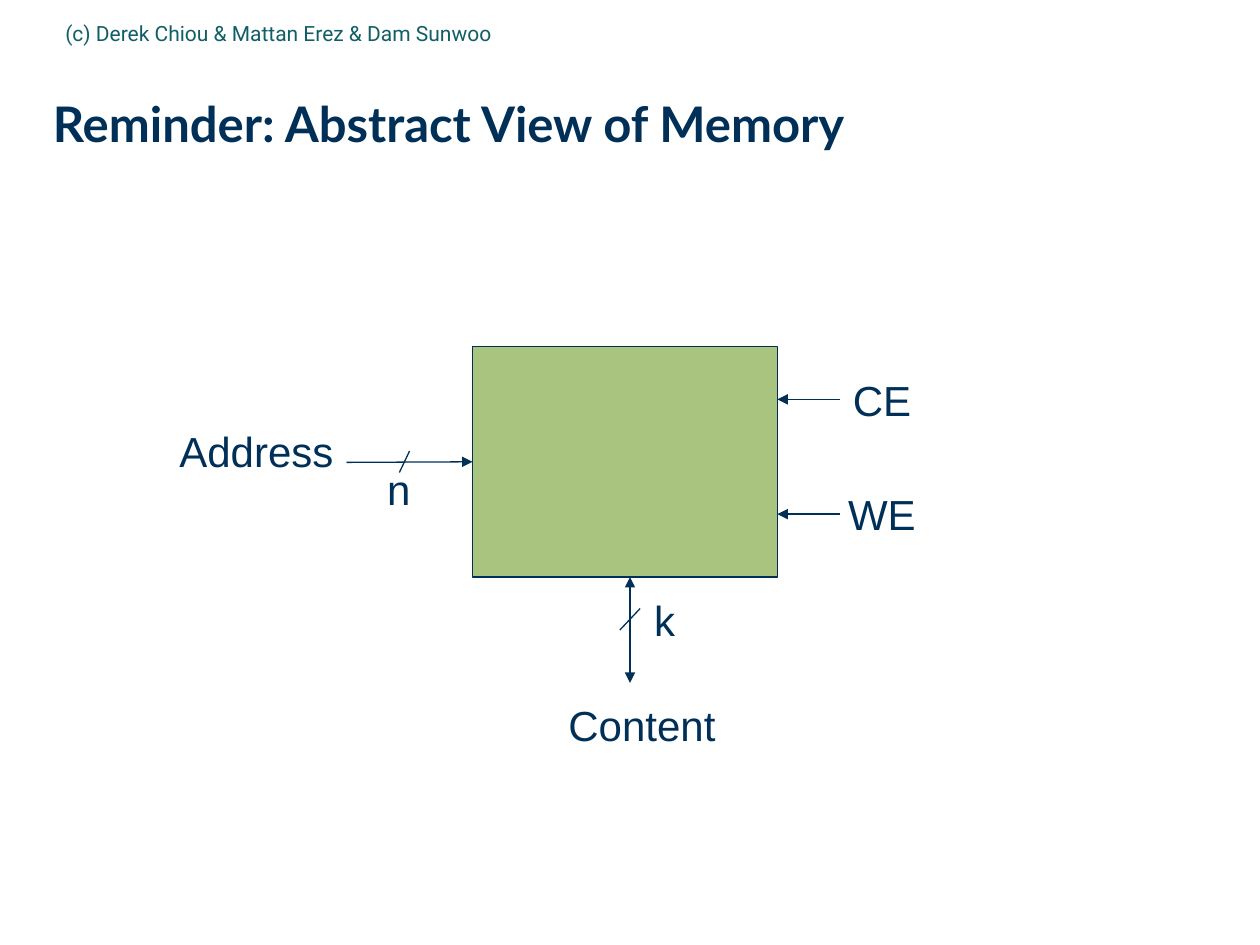
from pptx import Presentation
from pptx.dml.color import RGBColor
from pptx.enum.shapes import MSO_CONNECTOR, MSO_SHAPE
from pptx.enum.text import MSO_ANCHOR, MSO_AUTO_SIZE, PP_ALIGN
from pptx.oxml.ns import qn
from pptx.util import Inches, Pt
from lxml import etree

STRAIGHT = MSO_CONNECTOR.STRAIGHT
RECTANGLE = MSO_SHAPE.RECTANGLE
MIDDLE = MSO_ANCHOR.MIDDLE
NO_AUTOSIZE, FIT_SHAPE = MSO_AUTO_SIZE.NONE, MSO_AUTO_SIZE.SHAPE_TO_FIT_TEXT
LEFT, CENTER = PP_ALIGN.LEFT, PP_ALIGN.CENTER
LEFT_SIDE = 1
NAVY, TEAL, GREEN = "003057", "115E67", "A9C47F"


def color(value):
    """Return the colour of a hex string."""
    return RGBColor.from_string(value)


def add_run(p, text, size, font, fill, bold=False):
    """Append a formatted run to a paragraph."""
    r = p.add_run()
    r.text = text
    r.font.size = Pt(size)
    r.font.name = font
    r.font.bold = bold
    r.font.color.rgb = color(fill)


def set_title(s, text):
    """Place and fill the title placeholder."""
    sp = s.shapes.title
    sp.left, sp.top = Inches(0.42), Inches(0.5)
    sp.width, sp.height = Inches(9.41), Inches(0.98)
    tf = sp.text_frame
    tf.margin_left = tf.margin_right = tf.margin_top = tf.margin_bottom = 0
    tf.vertical_anchor = MIDDLE
    tf.auto_size = NO_AUTOSIZE
    p = tf.paragraphs[0]
    p.alignment = LEFT
    p.line_spacing = 0.99
    add_run(p, text, 28, "Lato", NAVY, bold=True)


def add_credit(s, text):
    """Add the authors' line at the top of the slide."""
    sp = s.shapes.add_textbox(Inches(0.42), Inches(0.03), Inches(5.67), Inches(0.46))
    tf = sp.text_frame
    tf.word_wrap = True
    tf.vertical_anchor = MIDDLE
    add_run(tf.paragraphs[0], text, 12, "Roboto", TEAL)


def add_label(s, text, left, top, width):
    """Add a centred signal label."""
    sp = s.shapes.add_textbox(Inches(left), Inches(top), Inches(width), Inches(0.5))
    tf = sp.text_frame
    tf.word_wrap = False
    tf.auto_size = FIT_SHAPE
    p = tf.paragraphs[0]
    p.alignment = CENTER
    add_run(p, text, 24, "Arial", NAVY)


def add_memory(s):
    """Add the memory block."""
    sp = s.shapes.add_shape(RECTANGLE, Inches(3.75), Inches(2.75), Inches(2.42), Inches(1.83))
    sp.shadow.inherit = False
    sp.fill.solid()
    sp.fill.fore_color.rgb = color(GREEN)
    sp.line.color.rgb = color(NAVY)
    sp.line.width = Pt(0.75)
    return sp


def add_line(s, start, end, arrows=()):
    """Add a thin line with triangles at the named ends."""
    sp = s.shapes.add_connector(STRAIGHT, *map(Inches, start + end))
    sp.line.color.rgb = color(NAVY)
    sp.line.width = Pt(0.75)
    ln = sp.line._get_or_add_ln()
    for name in arrows:
        etree.SubElement(ln, qn(f"a:{name}"), type="triangle")
    etree.SubElement(ln.getparent(), qn("a:effectLst"))
    return sp


def main():
    """Build the slide and save it."""
    prs = Presentation()
    prs.slide_width, prs.slide_height = Inches(10), Inches(7.5)
    s = prs.slides.add_slide(prs.slide_layouts[5])
    set_title(s, "Reminder: Abstract View of Memory")
    add_credit(s, "(c) Derek Chiou & Mattan Erez & Dam Sunwoo")

    memory = add_memory(s)
    address = add_line(s, (2.75, 3.67), (3.75, 3.67), ["tailEnd"])
    address.end_connect(memory, LEFT_SIDE)
    add_line(s, (5, 4.58), (5, 5.42), ["headEnd", "tailEnd"])
    for y in (3.17, 4.08):
        add_line(s, (6.67, y), (6.17, y), ["tailEnd"])
    for start, end in (((3.25, 3.58), (3.17, 3.75)), ((5.08, 4.83), (4.92, 5))):
        add_line(s, start, end)

    for text, left, top, width in (
        ("Address", 1.32, 3.33, 1.43),
        ("n", 2.97, 3.63, 0.39),
        ("CE", 6.67, 2.92, 0.66),
        ("WE", 6.63, 3.83, 0.74),
        ("k", 5.09, 4.67, 0.37),
        ("Content", 4.41, 5.5, 1.37),
    ):
        add_label(s, text, left, top, width)
    prs.save("out.pptx")


if __name__ == "__main__":
    main()
